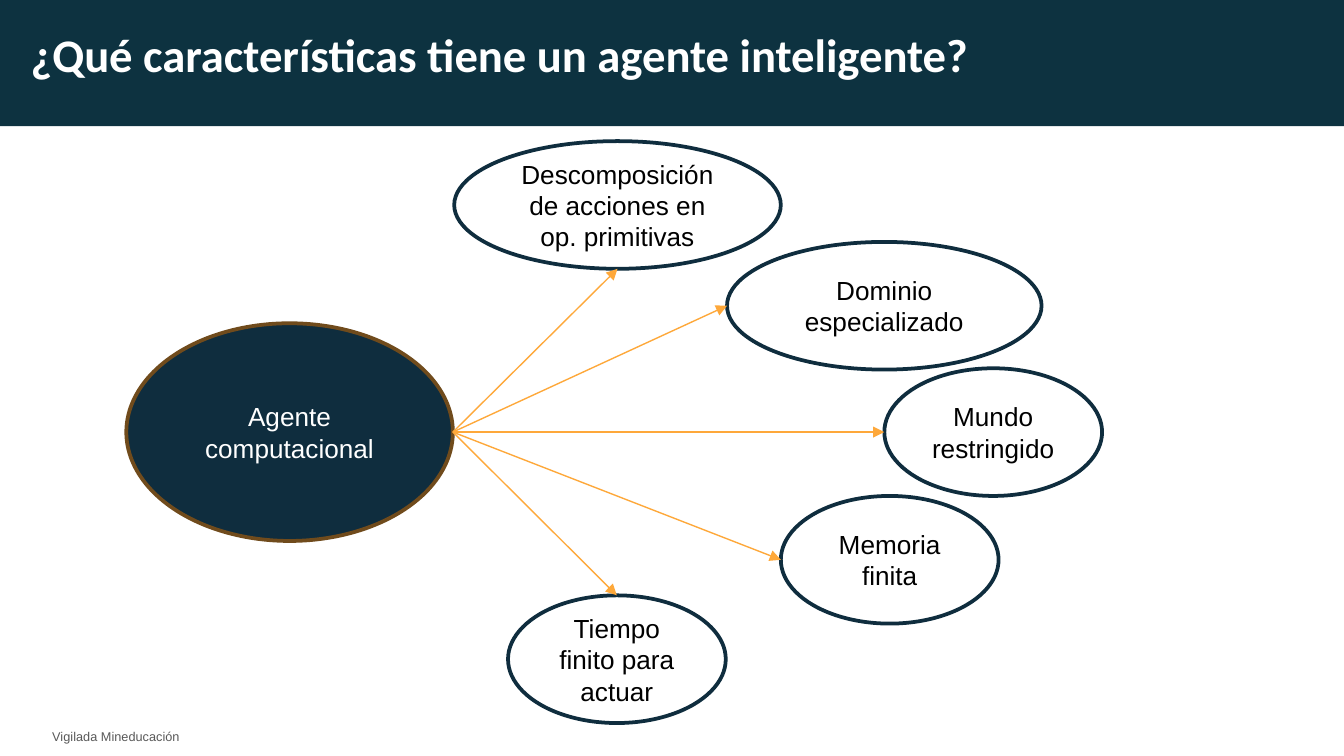
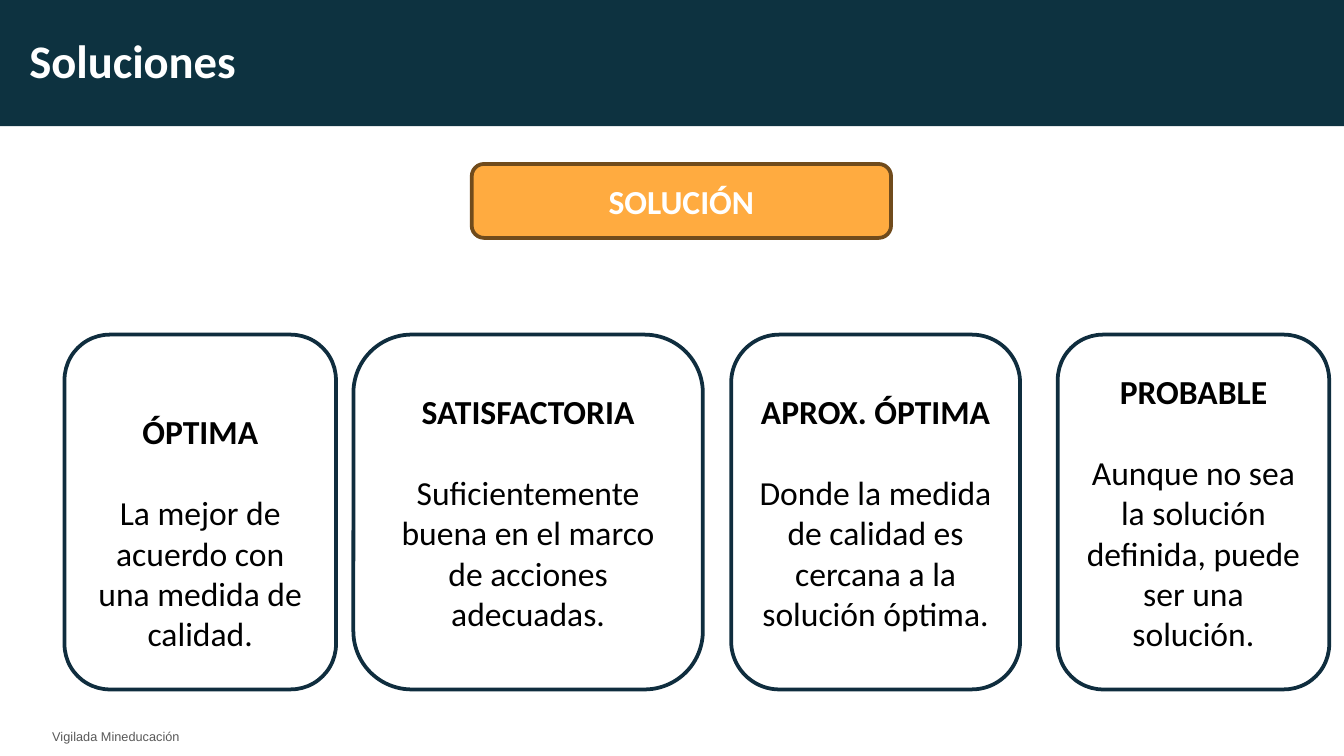
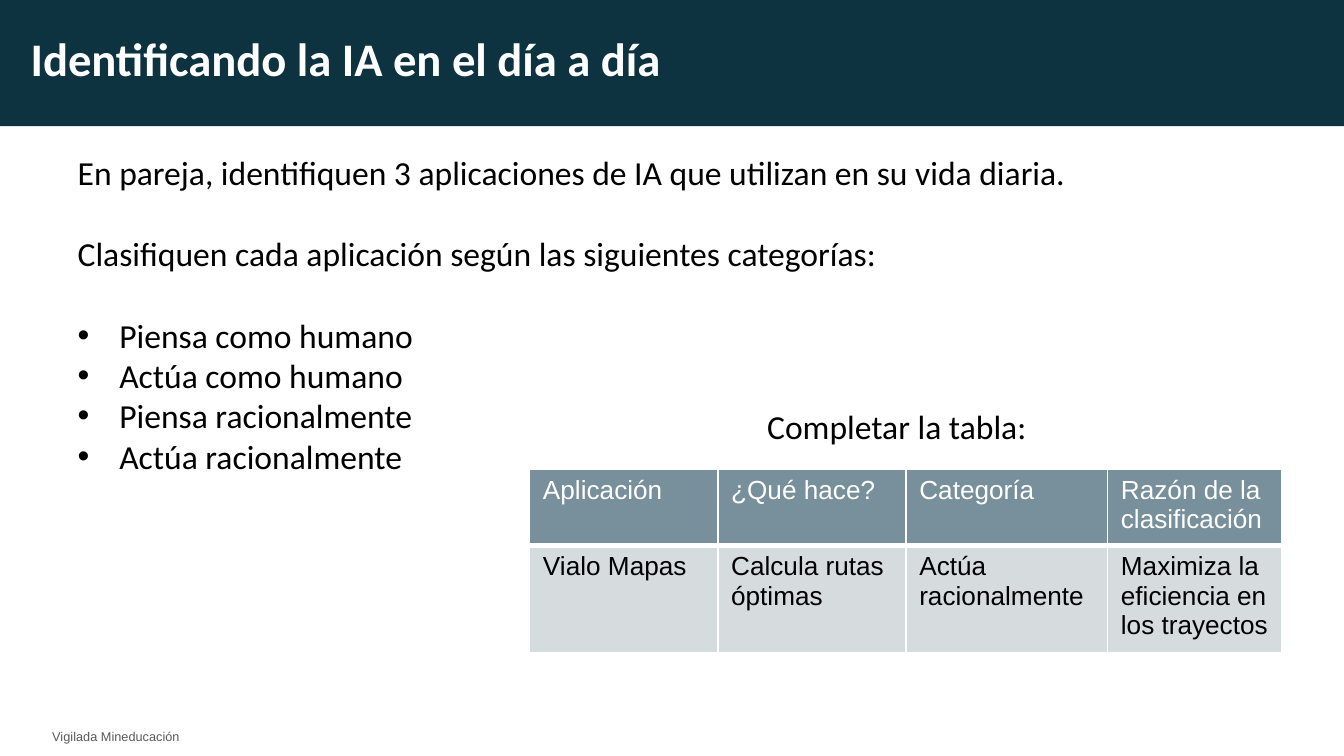
from dataclasses import dataclass

from lxml.etree import SubElement
from pptx import Presentation
from pptx.dml.color import RGBColor
from pptx.enum.shapes import MSO_CONNECTOR as Connector, MSO_SHAPE as Shape
from pptx.enum.text import MSO_ANCHOR as Anchor, MSO_AUTO_SIZE as AutoSize, PP_ALIGN as Align
from pptx.oxml.ns import qn
from pptx.util import Inches, Pt

BAND = RGBColor(0x0D, 0x32, 0x40)
NAVY = RGBColor(0x0F, 0x2D, 0x3E)
BROWN = RGBColor(0x70, 0x4B, 0x1C)
AMBER = RGBColor(0xFF, 0xAB, 0x40)
ARROW = RGBColor(0xFE, 0xA8, 0x3A)
HEADER = RGBColor(0x78, 0x90, 0x9C)
CELL_GRAY = RGBColor(0xD6, 0xDB, 0xDE)
FOOTER_GRAY = RGBColor(0x59, 0x59, 0x59)
WHITE = RGBColor(0xFF, 0xFF, 0xFF)
BLACK = RGBColor(0, 0, 0)

COLUMNS, ROWS = 100, 56.25
LINE_GAP = Pt(22)


def grid(cells):
    """Length of a number of grid columns or rows, which are equal."""
    return Inches(cells / 10)


@dataclass
class Box:
    left: float
    top: float
    width: float
    height: float

    def inner(self, left, top, width, height):
        """Box placed relative to this one."""
        return Box(self.left + left, self.top + top, width, height)

    def lengths(self):
        return [grid(side) for side in (self.left, self.top, self.width, self.height)]

    def side(self, name):
        """Middle point of the named side."""
        across = {"left": 0, "right": 1}.get(name, 0.5)
        down = {"top": 0, "bottom": 1}.get(name, 0.5)
        return self.left + across * self.width, self.top + down * self.height


@dataclass
class Style:
    size: float
    font: str = "Calibri"
    color: RGBColor = BLACK
    bold: bool = False


TITLE = Style(25, color=WHITE, bold=True)
BODY = Style(18)
HEADING = Style(18, bold=True)
LABEL = Style(14, "Arial")
LIGHT_LABEL = Style(14, "Arial", WHITE)
FOOTER = Style(6.8, "Arial", FOOTER_GRAY)


def write(paragraph, text, style, align=Align.LEFT):
    paragraph.alignment = align
    run = paragraph.add_run()
    run.text = text
    run.font.size = Pt(style.size)
    run.font.name = style.font
    run.font.bold = style.bold
    run.font.color.rgb = style.color


def add_text(slide, box, text, style, grow=True):
    holder = slide.shapes.add_textbox(*box.lengths())
    frame = holder.text_frame
    frame.word_wrap = True
    frame.auto_size = AutoSize.SHAPE_TO_FIT_TEXT if grow else AutoSize.NONE
    write(frame.paragraphs[0], text, style)
    return holder


def add_panel(slide, kind, box, fill=None, line=None):
    panel = slide.shapes.add_shape(kind, *box.lengths())
    panel.shadow.inherit = False
    if fill is None:
        panel.fill.background()
    else:
        panel.fill.solid()
        panel.fill.fore_color.rgb = fill
    if line is None:
        panel.line.fill.background()
    else:
        panel.line.color.rgb = line
        panel.line.width = Pt(2)
    panel.text_frame.word_wrap = True
    panel.text_frame.vertical_anchor = Anchor.MIDDLE
    return panel


def add_labelled(slide, kind, box, text, style, fill, line):
    panel = add_panel(slide, kind, box, fill, line)
    write(panel.text_frame.paragraphs[0], text, style, Align.CENTER)


def add_arrow(slide, start, end):
    arrow = slide.shapes.add_connector(
        Connector.STRAIGHT, *[grid(point) for point in (*start, *end)])
    arrow.line.color.rgb = ARROW
    arrow.line.width = Pt(0.75)
    properties = arrow._element.spPr
    SubElement(properties.find(qn("a:ln")), qn("a:tailEnd"), type="triangle")
    SubElement(properties, qn("a:effectLst"))


def start_slide(deck):
    """New slide with the shared band and footer."""
    slide = deck.slides.add_slide(deck.slide_layouts[6])
    add_panel(slide, Shape.RECTANGLE, Box(0, 0, COLUMNS, 9.4), BAND)
    footer = add_text(slide, Box(2.9, 53.7, 20.8, 2.1), "Vigilada Mineducación", FOOTER)
    footer.fill.solid()
    footer.fill.fore_color.rgb = WHITE
    return slide


def agent_diagram(slide, box):
    traits = [  # text, left, distance from the middle, width, side the arrow meets
        ("Descomposición de acciones en op. primitivas", 24.4, -16.9, 24.3, "bottom"),
        ("Dominio especializado", 44.7, -9.4, 23.4, "left"),
        ("Mundo restringido", 56.4, 0, 16.2, "left"),
        ("Memoria finita", 48.7, 9.5, 16.2, "left"),
        ("Tiempo finito para actuar", 28.4, 16.9, 16.2, "top"),
    ]
    agent_height, trait_height = 16.2, 9.5
    agent = box.inner(0, (box.height - agent_height) / 2, 24.3, agent_height)
    add_labelled(slide, Shape.OVAL, agent, "Agente computacional", LIGHT_LABEL, NAVY, BROWN)
    arrow_ends = []
    for text, left, distance, width, side in traits:
        top = (box.height - trait_height) / 2 + distance
        trait = box.inner(left, top, width, trait_height)
        add_labelled(slide, Shape.OVAL, trait, text, LABEL, WHITE, NAVY)
        arrow_ends.append(trait.side(side))
    for end in arrow_ends:
        add_arrow(slide, agent.side("right"), end)


def solution_cards(slide, box):
    cards = [  # heading, description, left, width, extra space above the text
        ("ÓPTIMA", "La mejor de acuerdo con una medida de calidad.", 0, 20.2, 3),
        ("SATISFACTORIA", "Suficientemente buena en el marco de acciones adecuadas.",
         21.5, 26, 0),
        ("APROX. ÓPTIMA", "Donde la medida de calidad es cercana a la solución óptima.",
         49.6, 21.5, 0),
        ("PROBABLE", "Aunque no sea la solución definida, puede ser una solución.",
         73.9, 20.2, 0),
    ]
    for heading, description, left, width, extra in cards:
        card = add_panel(slide, Shape.ROUNDED_RECTANGLE,
                         box.inner(left, 0, width, box.height), line=NAVY)
        frame = card.text_frame
        frame.margin_top = grid(0.5 + extra)
        write(frame.paragraphs[0], heading, HEADING, Align.CENTER)
        body = frame.add_paragraph()
        body.space_before = LINE_GAP
        write(body, description, BODY, Align.CENTER)


def add_bullet(paragraph):
    properties = paragraph._p.get_or_add_pPr()
    properties.set("marL", str(grid(3.1)))
    properties.set("indent", str(-grid(3.1)))
    color = SubElement(properties, qn("a:buClr"))
    SubElement(color, qn("a:srgbClr"), val=str(BLACK))
    SubElement(properties, qn("a:buFont"), typeface="Arial")
    SubElement(properties, qn("a:buChar"), char="•")


def instructions(slide, box):
    categories = ["Piensa como humano", "Actúa como humano",
                  "Piensa racionalmente", "Actúa racionalmente"]
    frame = add_text(
        slide, box,
        "En pareja, identifiquen 3 aplicaciones de IA que utilizan en su vida diaria.",
        BODY).text_frame
    request = frame.add_paragraph()
    request.space_before = LINE_GAP
    write(request, "Clasifiquen cada aplicación según las siguientes categorías:", BODY)
    for index, category in enumerate(categories):
        item = frame.add_paragraph()
        if index == 0:
            item.space_before = LINE_GAP
        add_bullet(item)
        write(item, category, BODY)


def set_borders(cell, bottom):
    properties = cell._tc.get_or_add_tcPr()
    widths = {"lnL": 1, "lnR": 1, "lnT": 1, "lnB": bottom}
    for index, (edge, width) in enumerate(widths.items()):
        line = SubElement(properties, qn(f"a:{edge}"), w=str(Pt(width)))
        SubElement(SubElement(line, qn("a:solidFill")), qn("a:srgbClr"), val=str(WHITE))
        properties.insert(index, line)


def classification_table(slide, box):
    rows = [
        ("Aplicación", "¿Qué hace?", "Categoría", "Razón de la clasificación"),
        ("Vialo Mapas", "Calcula rutas óptimas", "Actúa racionalmente",
         "Maximiza la eficiencia en los trayectos"),
    ]
    looks = [(HEADER, LIGHT_LABEL, 3), (CELL_GRAY, LABEL, 1)]
    widths = [14, 14, 15, 13]
    add_text(slide, box.inner(16.7, 0, 30, 4), "Completar la tabla:", BODY)
    holder = slide.shapes.add_table(
        len(rows), len(widths), *box.inner(0, 5.2, box.width, 13.7).lengths())
    table = holder.table
    table.horz_banding = False
    for column, width in zip(table.columns, widths):
        column.width = grid(width)
    for row, texts, (fill, style, bottom) in zip(table.rows, rows, looks):
        row.height = grid(4.1)
        for cell, text in zip(row.cells, texts):
            cell.fill.solid()
            cell.fill.fore_color.rgb = fill
            set_borders(cell, bottom)
            write(cell.text_frame.paragraphs[0], text, style)


def characteristics_slide(deck):
    slide = start_slide(deck)
    title = add_text(slide, Box(1.3, 0.9, 81.9, 9.8),
                     "¿Qué características tiene un agente inteligente?", TITLE, grow=False)
    title.text_frame.margin_top = title.text_frame.margin_bottom = grid(1)
    agent_diagram(slide, Box(9.4, 10.5, 72.6, 43.3))


def solutions_slide(deck):
    slide = start_slide(deck)
    add_labelled(slide, Shape.ROUNDED_RECTANGLE, Box(35.1, 12.2, 31.2, 5.5), "SOLUCIÓN",
                 Style(18, color=WHITE, bold=True), AMBER, BROWN)
    solution_cards(slide, Box(4.8, 24.9, 94.1, 26.4))
    add_text(slide, Box(1.2, 1.9, 50, 5.2), "Soluciones", TITLE)


def exercise_slide(deck):
    slide = start_slide(deck)
    add_text(slide, Box(1.3, 1.7, 50, 5.2), "Identificando la IA en el día a día", TITLE)
    instructions(slide, Box(4.8, 10.8, 82.7, 31.3))
    classification_table(slide, Box(39.4, 29.7, 56, 18.9))


def main():
    deck = Presentation()
    deck.slide_width, deck.slide_height = grid(COLUMNS), grid(ROWS)
    characteristics_slide(deck)
    solutions_slide(deck)
    exercise_slide(deck)
    deck.save("out.pptx")


if __name__ == "__main__":
    main()
